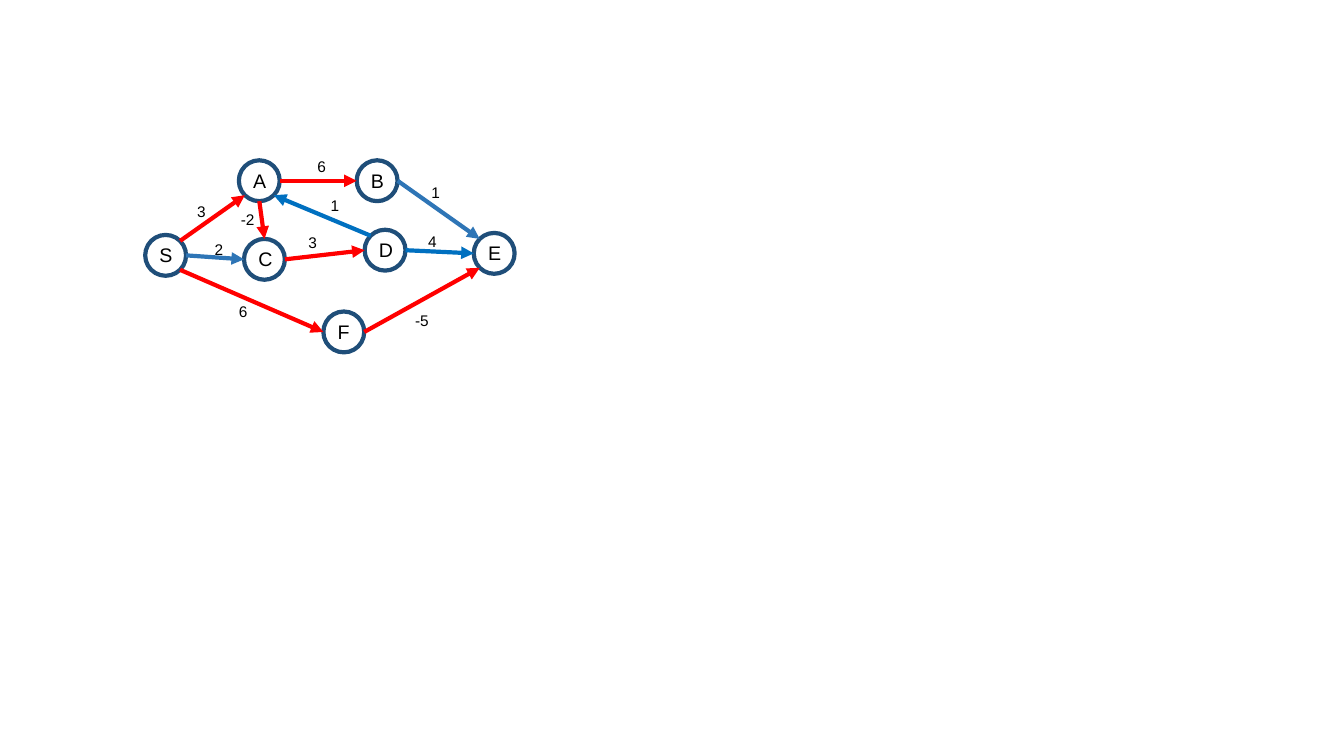
import math

import lxml.etree
import pptx
import pptx.dml.color
import pptx.enum.shapes
import pptx.oxml.ns
import pptx.util

Cm = pptx.util.Cm
qn = pptx.oxml.ns.qn

NAVY, RED, BLUE, STEEL = "1F4E79", "FF0000", "0070C0", "2E75B6"
DIAMETER = 1.03
TOP, TOP_LEFT, LEFT, BOTTOM_LEFT, BOTTOM, BOTTOM_RIGHT, RIGHT, TOP_RIGHT = range(8)

NODES = {
    "S": (3.66, 5.92),
    "F": (8.15, 7.85),
    "A": (6.02, 4.04),
    "C": (6.15, 6.02),
    "E": (11.94, 5.87),
    "D": (9.19, 5.79),
    "B": (8.99, 4.04),
}
EDGES = [
    ("S", TOP_RIGHT, "A", BOTTOM_LEFT, RED, "3", 4.72, 4.98, 0.76),
    ("S", RIGHT, "C", LEFT, STEEL, "2", 5.16, 5.92, 0.76),
    ("S", BOTTOM_RIGHT, "F", LEFT, RED, "6", 5.77, 7.49, 0.76),
    ("F", RIGHT, "E", BOTTOM_LEFT, RED, "-5", 10.21, 7.72, 1.02),
    ("C", RIGHT, "D", LEFT, RED, "3", 7.52, 5.74, 0.76),
    ("D", RIGHT, "E", LEFT, BLUE, "4", 10.54, 5.72, 1.02),
    ("A", BOTTOM, "C", TOP, RED, "-2", 5.82, 5.16, 0.86),
    ("A", RIGHT, "B", LEFT, RED, "6", 7.75, 3.84, 1.02),
    ("D", TOP_LEFT, "A", BOTTOM_RIGHT, BLUE, "1", 8.08, 4.83, 1.02),
    ("B", RIGHT, "E", TOP_LEFT, STEEL, "1", 10.62, 4.5, 1.02),
]


def color(value):
    return pptx.dml.color.RGBColor.from_string(value)


class GraphSlide:
    """Draws a weighted directed graph on one slide."""

    font_name = "Arial"
    line_width = pptx.util.Pt(3)

    def __init__(self, presentation):
        slide = presentation.slides.add_slide(presentation.slide_layouts[6])
        self.shapes = slide.shapes.add_group_shape().shapes
        self.circles = {}

    def style_line(self, line, line_color):
        line.color.rgb = color(line_color)
        line.width = self.line_width

    def text(self, content, left, top, width, height, size):
        box = self.shapes.add_textbox(Cm(left), Cm(top), Cm(width), Cm(height))
        box.text_frame.word_wrap = True
        paragraph = box.text_frame.paragraphs[0]
        paragraph.text = content
        paragraph.font.name = self.font_name
        paragraph.font.size = pptx.util.Pt(size)
        paragraph.font.color.rgb = color("000000")

    def node(self, name, left, top):
        circle = self.shapes.add_shape(
            pptx.enum.shapes.MSO_SHAPE.OVAL,
            Cm(left), Cm(top), Cm(DIAMETER), Cm(DIAMETER),
        )
        circle.shadow.inherit = False
        circle.fill.background()
        self.style_line(circle.line, NAVY)
        self.circles[name] = circle
        self.text(name, left + 0.11, top + 0.08, 0.69, 0.86, 14)

    def site(self, name, index):
        circle = self.circles[name]
        radius = circle.width / 2
        angle = index * math.pi / 4
        return (
            round(circle.left + radius * (1 - math.sin(angle))),
            round(circle.top + radius * (1 - math.cos(angle))),
        )

    def arrow(self, start, start_site, end, end_site, line_color):
        connector = self.shapes.add_connector(
            pptx.enum.shapes.MSO_CONNECTOR.STRAIGHT,
            *self.site(start, start_site), *self.site(end, end_site),
        )
        self.style_line(connector.line, line_color)
        properties = connector.element.spPr
        outline = properties.find(qn("a:ln"))
        lxml.etree.SubElement(outline, qn("a:tailEnd"), type="triangle")
        lxml.etree.SubElement(properties, qn("a:effectLst"))
        links = connector.element.find(".//" + qn("p:cNvCxnSpPr"))
        for tag, name, index in (("a:stCxn", start, start_site), ("a:endCxn", end, end_site)):
            lxml.etree.SubElement(
                links, qn(tag), id=str(self.circles[name].shape_id), idx=str(index)
            )

    def weight(self, value, left, top, width):
        self.text(value, left, top, width, 0.74, 11)


def main():
    presentation = pptx.Presentation()
    presentation.slide_width = Cm(33.87)
    presentation.slide_height = Cm(19.05)
    graph = GraphSlide(presentation)
    for name, (left, top) in NODES.items():
        graph.node(name, left, top)
    for start, start_site, end, end_site, line_color, value, left, top, width in EDGES:
        graph.arrow(start, start_site, end, end_site, line_color)
        graph.weight(value, left, top, width)
    presentation.save("out.pptx")


if __name__ == "__main__":
    main()
